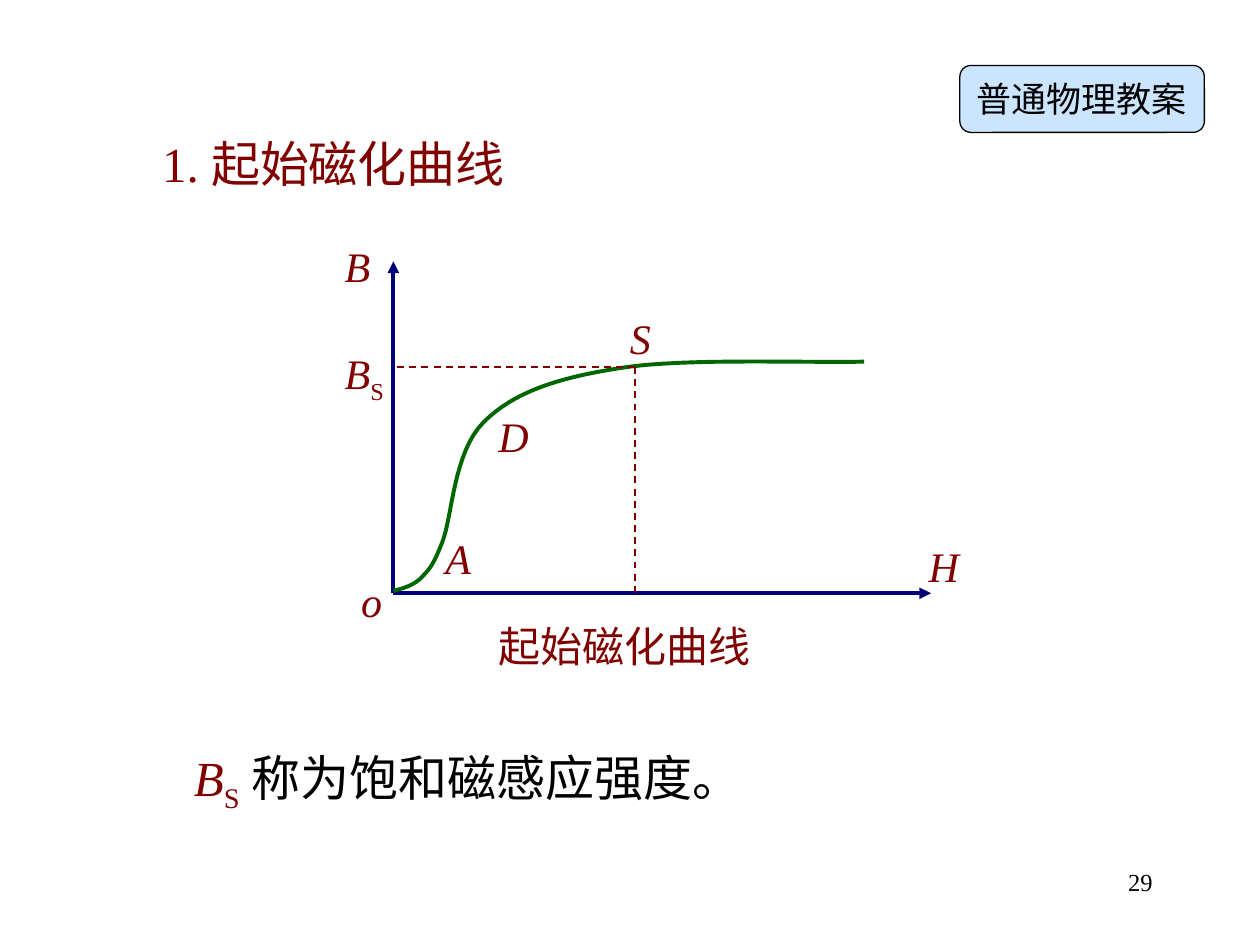
from lxml.etree import SubElement
from pptx import Presentation
from pptx.dml.color import RGBColor
from pptx.enum.dml import MSO_LINE
from pptx.enum.shapes import MSO_CONNECTOR, MSO_SHAPE
from pptx.enum.text import MSO_ANCHOR, MSO_AUTO_SIZE, PP_ALIGN
from pptx.oxml.ns import qn
from pptx.util import Cm, Pt

FONT = "Times New Roman"
MAROON, NAVY, GREEN, BLACK = "800000", "000076", "006600", "000000"

# All lengths are in centimetres.
TITLE = "1. 起始磁化曲线"
BADGE = "普通物理教案"
PAGE_NUMBER = "29"
SYMBOL = [("B", {"italic": True}), ("S", {"subscript": True})]
STATEMENT = SYMBOL + [(" 称为饱和磁感应强度。", {"color": BLACK})]

ORIGIN_X, ORIGIN_Y = 7.93, 11.96
AXIS_TOP, AXIS_RIGHT = 5.27, 18.77
SATURATION_X, SATURATION_Y = 12.8, 7.4

LABEL_WIDTH, LABEL_HEIGHT = 1.47, 1.27
LABELS = [
    ("B", 6.7, 4.72),
    ("H", 18.47, 10.77),
    ("o", 7.03, 11.48),
    ("A", 8.73, 10.6),
    ("D", 9.8, 8.15),
    ("S", 12.45, 6.17),
]

CURVE_START = (7.93, 11.91)
CURVE_SEGMENTS = [
    ((8.13, 11.86), (8.31, 11.81), (8.48, 11.66)),
    ((8.64, 11.48), (8.71, 11.46), (8.92, 10.92)),
    ((9.12, 10.41), (9.14, 9.12), (9.75, 8.51)),
    ((10.34, 7.92), (11.2, 7.62), (12.5, 7.42)),
    ((13.77, 7.21), (16.38, 7.32), (17.42, 7.29)),
]
STEPS = 16


def rgb(value):
    return RGBColor.from_string(value)


def write_text(shape, runs, size=24, color=MAROON, italic=False,
               align=PP_ALIGN.LEFT, anchor=MSO_ANCHOR.TOP, wrap=True,
               insets=(0.25, 0.13, 0.25, 0.13)):
    """Fill a shape with one paragraph; runs is a string or (text, format) pairs."""
    frame = shape.text_frame
    frame.word_wrap = wrap
    frame.auto_size = MSO_AUTO_SIZE.NONE
    frame.vertical_anchor = anchor
    (frame.margin_left, frame.margin_top,
     frame.margin_right, frame.margin_bottom) = map(Cm, insets)
    paragraph = frame.paragraphs[0]
    paragraph.alignment = align
    for text, style in [(runs, {})] if isinstance(runs, str) else runs:
        run = paragraph.add_run()
        run.text = text
        run.font.name = FONT
        run.font.size = Pt(size)
        run.font.italic = style.get("italic", italic)
        run.font.color.rgb = rgb(style.get("color", color))
        if style.get("subscript"):
            run._r.get_or_add_rPr().set("baseline", "-25000")


def add_text(slide, runs, left, top, width, height, **text_format):
    box = slide.shapes.add_textbox(Cm(left), Cm(top), Cm(width), Cm(height))
    write_text(box, runs, **text_format)


def add_line(slide, start, end, color, width, arrow=False, dashed=False):
    line = slide.shapes.add_connector(
        MSO_CONNECTOR.STRAIGHT, *map(Cm, start + end))
    line.line.color.rgb = rgb(color)
    line.line.width = Pt(width)
    if dashed:
        line.line.dash_style = MSO_LINE.DASH
    if arrow:
        SubElement(line.line._get_or_add_ln(), qn("a:tailEnd"), type="triangle")
    SubElement(line._element.spPr, qn("a:effectLst"))


def curve_points():
    """Sample the chain of cubic Bézier segments."""
    points, start = [CURVE_START], CURVE_START
    for first, second, end in CURVE_SEGMENTS:
        for step in range(1, STEPS + 1):
            t = step / STEPS
            weights = ((1 - t) ** 3, 3 * t * (1 - t) ** 2,
                       3 * t ** 2 * (1 - t), t ** 3)
            corners = (start, first, second, end)
            points.append(tuple(
                sum(weight * corner[axis] for weight, corner in zip(weights, corners))
                for axis in (0, 1)))
        start = end
    return points


def add_curve(slide):
    points = [(Cm(x), Cm(y)) for x, y in curve_points()]
    builder = slide.shapes.build_freeform(*points[0])
    builder.add_line_segments(points[1:], close=False)
    curve = builder.convert_to_shape()
    curve.shadow.inherit = False
    curve.fill.background()
    curve.line.color.rgb = rgb(GREEN)
    curve.line.width = Pt(2.25)


def add_badge(slide):
    badge = slide.shapes.add_shape(
        MSO_SHAPE.ROUNDED_RECTANGLE, Cm(19.35), Cm(1.32), Cm(4.93), Cm(1.35))
    badge.shadow.inherit = False
    badge.fill.solid()
    badge.fill.fore_color.rgb = rgb("99CCFF")
    fill_color = badge._element.spPr.find(qn("a:solidFill")).find(qn("a:srgbClr"))
    SubElement(fill_color, qn("a:alpha"), val="50000")
    badge.line.color.rgb = rgb(BLACK)
    badge.line.width = Pt(0.75)
    write_text(badge, BADGE, size=20, color=BLACK, anchor=MSO_ANCHOR.MIDDLE,
               wrap=False, insets=(0.27, 0, 0, 0))


def add_diagram(slide):
    origin = (ORIGIN_X, ORIGIN_Y)
    saturation = (SATURATION_X, SATURATION_Y)
    for end in ((ORIGIN_X, AXIS_TOP), (AXIS_RIGHT, ORIGIN_Y)):
        add_line(slide, origin, end, NAVY, 2.25, arrow=True)
    add_curve(slide)
    for end in ((ORIGIN_X, SATURATION_Y), (SATURATION_X, ORIGIN_Y)):
        add_line(slide, saturation, end, MAROON, 1, dashed=True)
    for text, left, top in LABELS:
        add_text(slide, text, left, top, LABEL_WIDTH, LABEL_HEIGHT, italic=True)
    add_text(slide, SYMBOL, 6.7, 6.88, 1.83, 1.42)
    add_text(slide, "起始磁化曲线", 9.8, 12.37, 6.3, LABEL_HEIGHT)


def main():
    presentation = Presentation()
    presentation.slide_width, presentation.slide_height = Cm(25.4), Cm(19.05)
    slide = presentation.slides.add_slide(presentation.slide_layouts[5])

    title = slide.shapes.title
    title.left, title.top, title.width, title.height = map(
        Cm, (3.02, 2.57, 9.3, 1.45))
    write_text(title, TITLE, size=28)

    add_diagram(slide)
    add_text(slide, STATEMENT, 3.66, 14.94, 14.25, 1.6, size=28)
    add_badge(slide)
    add_text(slide, PAGE_NUMBER, 18.21, 17.35, 5.28, 1.27,
             size=14, color=BLACK, align=PP_ALIGN.RIGHT)
    presentation.save("out.pptx")


if __name__ == "__main__":
    main()
